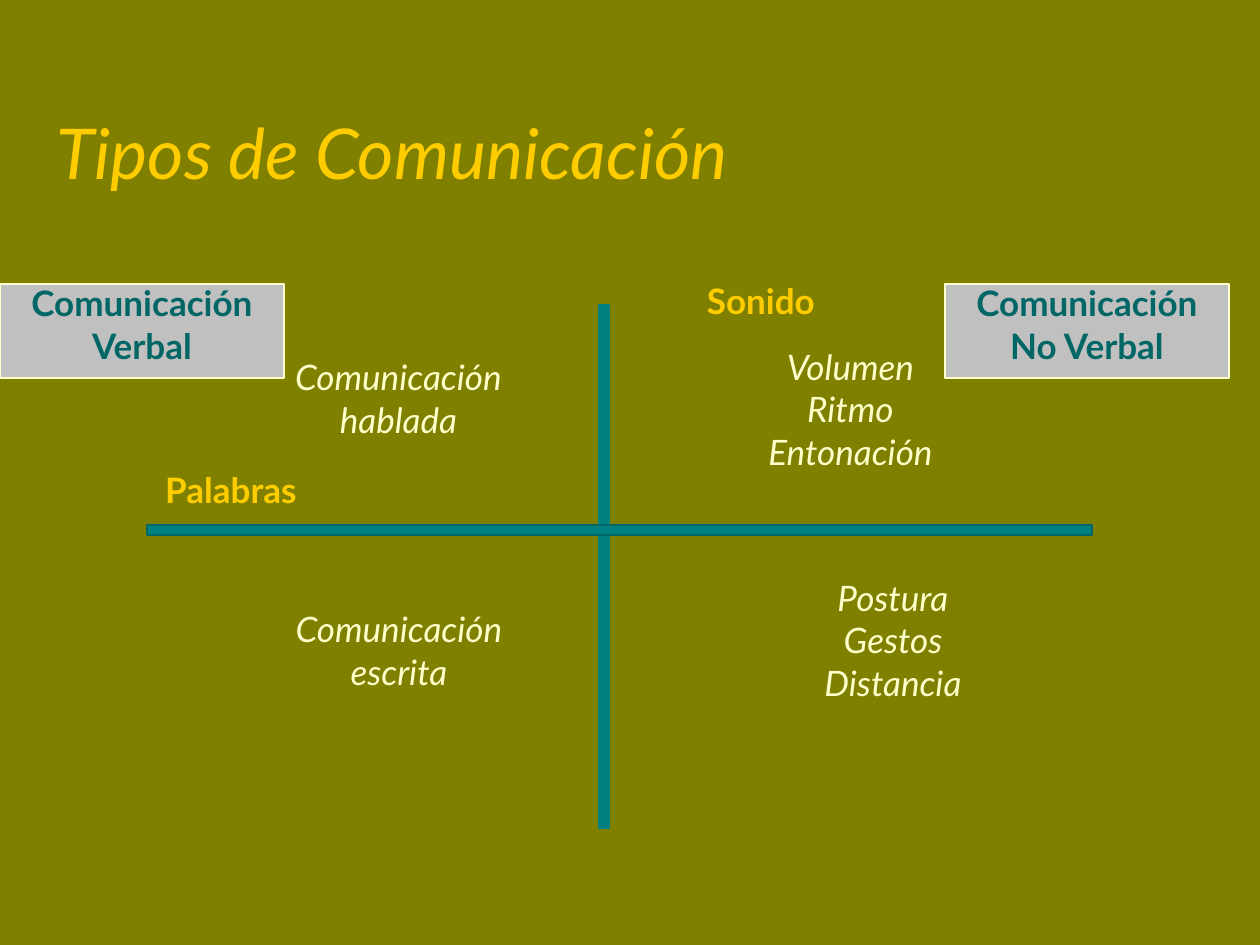
from pptx import Presentation
from pptx.dml.color import RGBColor
from pptx.enum.shapes import MSO_SHAPE as Shape
from pptx.enum.text import MSO_ANCHOR as Anchor, MSO_AUTO_SIZE as Fit, PP_ALIGN as Align
from pptx.util import Emu, Pt

SCALE = 914400 / 126
GOLD, CREAM, TEAL, DARK = "FFCC00", "FFFFCC", "008080", "006666"
GREY, OLIVE = "C0C0C0", "808000"


def px(*nums):
    """Turn pixel lengths into EMU."""
    return [Emu(round(n * SCALE)) for n in nums]


def paint(target, color):
    """Give a fill a solid colour."""
    target.solid()
    target.fore_color.rgb = RGBColor.from_string(color)


def style(par, size, color, bold=False, italic=False):
    """Set the font of a paragraph."""
    font = par.font
    font.name, font.size = "Lato", Pt(size)
    font.bold, font.italic = bold, italic
    font.color.rgb = RGBColor.from_string(color)


def add_bar(slide, box, fill, edge):
    """Draw a filled rectangle with a thin edge."""
    bar = slide.shapes.add_shape(Shape.RECTANGLE, *px(*box))
    bar.shadow.inherit = False
    paint(bar.fill, fill)
    paint(bar.line.fill, edge)
    bar.line.width = Pt(0.75)


def add_text(slide, box, lines, color, bold=False, italic=False):
    """Write centred lines, set tight when there are several."""
    frame = slide.shapes.add_textbox(*px(*box)).text_frame
    frame.word_wrap = True
    frame.auto_size = Fit.SHAPE_TO_FIT_TEXT
    frame.text = "\n".join(lines)
    for par in frame.paragraphs:
        par.alignment = Align.CENTER
        par.space_before = Pt(12.5)
        if len(lines) > 1:
            par.line_spacing = 0.5
        style(par, 20, color, bold, italic)


def add_title(slide, box, text):
    """Place and format the slide title."""
    title = slide.shapes.title
    title.left, title.top, title.width, title.height = px(*box)
    frame = title.text_frame
    frame.text = text
    frame.vertical_anchor = Anchor.MIDDLE
    frame.auto_size = Fit.SHAPE_TO_FIT_TEXT
    par = frame.paragraphs[0]
    par.alignment = Align.LEFT
    style(par, 40, GOLD, italic=True)


def add_badge(slide, box, lines):
    """Draw a grey box headed by a kind of communication."""
    left, top, width, height = box
    add_bar(slide, box, GREY, CREAM)
    add_text(slide, (left, top + 10, width, height - 18), lines, DARK, bold=True)


def add_axes(slide, box):
    """Draw the cross that splits the box into four fields."""
    left, top, width, height = box
    add_bar(slide, (left + 452, top, 10, height), TEAL, TEAL)
    add_bar(slide, (left, top + 220, width, 10), TEAL, DARK)


def main():
    """Build the slide and save it."""
    deck = Presentation()
    deck.slide_width, deck.slide_height = px(1260, 945)
    slide = deck.slides.add_slide(deck.slide_layouts[5])
    paint(slide.background.fill, OLIVE)

    add_title(slide, (44, 103, 1191, 97), "Tipos de Comunicación")
    add_axes(slide, (147, 305, 945, 523))
    add_badge(slide, (945, 284, 284, 94), ["Comunicación", "No Verbal"])
    add_badge(slide, (0, 284, 284, 94), ["Comunicación", "Verbal"])

    heads = [((630, 273, 262, 55), "Sonido"), ((105, 462, 252, 55), "Palabras")]
    for box, text in heads:
        add_text(slide, box, [text], GOLD, bold=True)

    fields = [
        ((199, 368, 399, 77), ["Comunicación", "hablada"]),
        ((231, 620, 336, 77), ["Comunicación", "escrita"]),
        ((630, 357, 441, 120), ["Volumen", "Ritmo", "Entonación"]),
        ((662, 588, 462, 120), ["Postura", "Gestos", "Distancia"]),
    ]
    for box, lines in fields:
        add_text(slide, box, lines, CREAM, italic=True)

    deck.save("out.pptx")


if __name__ == "__main__":
    main()
